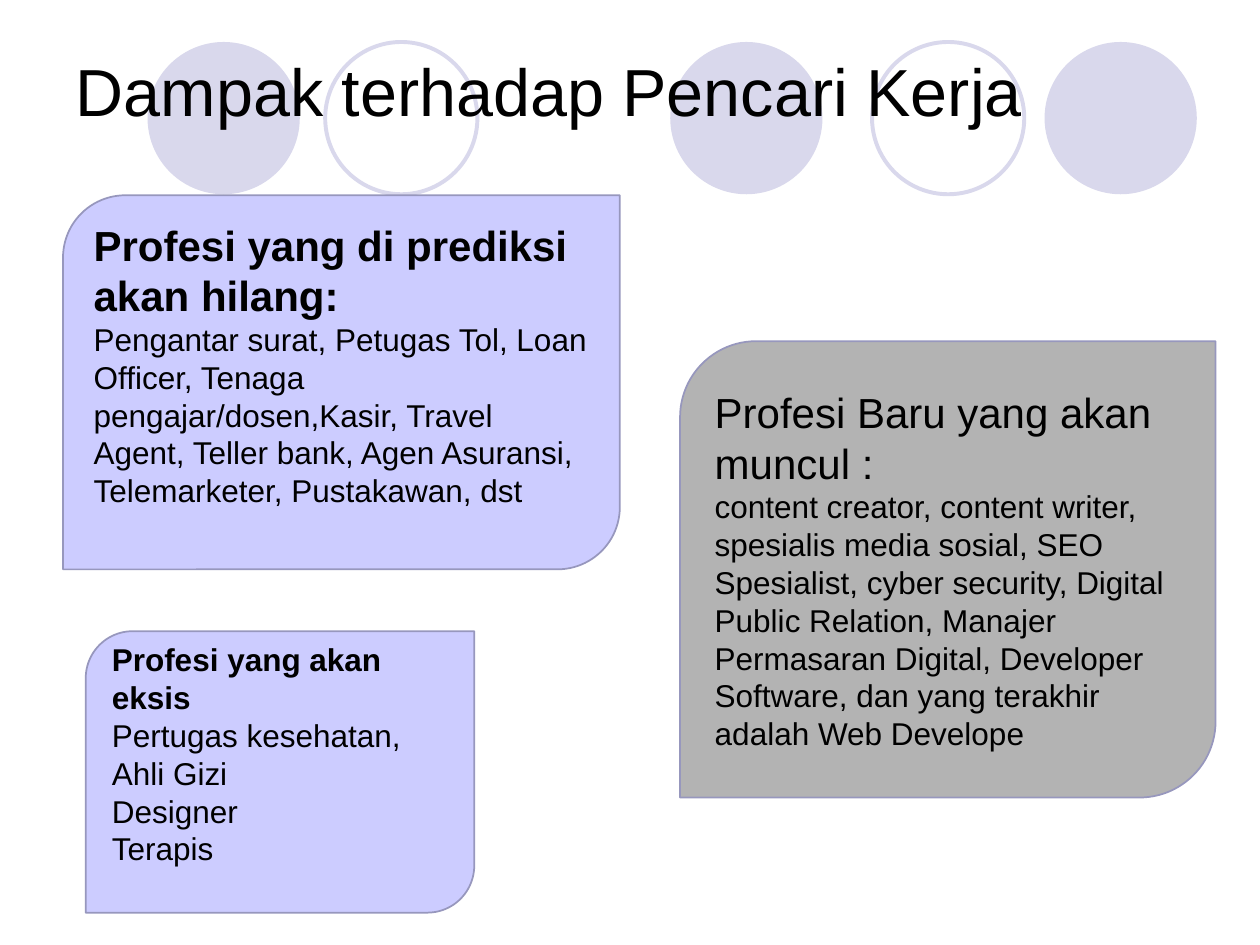
import pptx
import pptx.dml.color
import pptx.enum.shapes
import pptx.enum.text
import pptx.util

Pt = pptx.util.Pt
COLORS = {
    "circle": "D9D8EC",
    "lavender": "CCCCFF",
    "gray": "B3B3B3",
    "outline": "9797BD",
    "text": "000000",
}
FONT_NAME = "Arial"
TITLE = "Dampak terhadap Pencari Kerja"
TITLE_BOX = (36, 21.6, 648, 59.8)

CIRCLE_TOP, CIRCLE_SIZE = 24, 87
CIRCLES = [(84.3, True), (185.8, False), (383, True), (498.3, False), (596.9, True)]

# Each paragraph is (text, size, bold).
CARDS = [
    {
        "box": (49, 360.7, 222, 160.8),
        "fill": "lavender",
        "bottom_inset": 24.3,
        "paragraphs": [
            ("Profesi yang akan eksis", 18, True),
            ("Pertugas kesehatan, Ahli Gizi", 18, False),
            ("Designer", 18, False),
            ("Terapis", 18, False),
        ],
    },
    {
        "box": (388.6, 195, 306, 260.8),
        "fill": "gray",
        "bottom_inset": 3.6,
        "paragraphs": [
            ("Profesi Baru yang akan muncul :", 24, False),
            ("content creator, content writer, spesialis media sosial, SEO "
             "Spesialist, cyber security, Digital Public Relation, Manajer "
             "Permasaran Digital, Developer Software, dan yang terakhir "
             "adalah Web Develope", 18, False),
        ],
    },
    {
        "box": (36, 111.6, 318.2, 213.8),
        "fill": "lavender",
        "bottom_inset": 24.3,
        "paragraphs": [
            ("Profesi yang di prediksi akan hilang:", 24, True),
            ("Pengantar surat, Petugas Tol, Loan Officer, Tenaga "
             "pengajar/dosen,Kasir, Travel Agent, Teller bank, Agen Asuransi, "
             "Telemarketer, Pustakawan, dst", 18, False),
        ],
    },
]


def color(name):
    return pptx.dml.color.RGBColor.from_string(COLORS[name])


def set_attributes(target, values):
    for name, value in values.items():
        setattr(target, name, value)


def place(shape, box):
    set_attributes(shape, dict(zip(("left", "top", "width", "height"), map(Pt, box))))


def add_shape(slide, kind, box, fill, line, line_width):
    """Add a flat preset shape; a fill or line of None is left empty."""
    shape = slide.shapes.add_shape(kind, *map(Pt, box))
    shape.shadow.inherit = False
    for paint, name in ((shape.fill, fill), (shape.line.fill, line)):
        if name:
            paint.solid()
            paint.fore_color.rgb = color(name)
        else:
            paint.background()
    if line:
        shape.line.width = Pt(line_width)
    return shape


def write_paragraphs(shape, paragraphs, bottom_inset=3.6):
    frame = shape.text_frame
    set_attributes(frame, {
        "word_wrap": True,
        "auto_size": pptx.enum.text.MSO_AUTO_SIZE.NONE,
        "vertical_anchor": pptx.enum.text.MSO_ANCHOR.MIDDLE,
        "margin_bottom": Pt(bottom_inset),
    })
    for index, (text, size, bold) in enumerate(paragraphs):
        paragraph = frame.add_paragraph() if index else frame.paragraphs[0]
        paragraph.alignment = pptx.enum.text.PP_ALIGN.LEFT
        run = paragraph.add_run()
        run.text = text
        set_attributes(run.font, {"name": FONT_NAME, "size": Pt(size), "bold": bold})
        run.font.color.rgb = color("text")


def main():
    presentation = pptx.Presentation()
    set_attributes(presentation, {"slide_width": Pt(720), "slide_height": Pt(540)})
    slide = presentation.slides.add_slide(presentation.slide_layouts[5])
    shape_types = pptx.enum.shapes.MSO_SHAPE

    for left, filled in CIRCLES:
        box = (left, CIRCLE_TOP, CIRCLE_SIZE, CIRCLE_SIZE)
        add_shape(slide, shape_types.OVAL, box,
                  "circle" if filled else None, None if filled else "circle", 2.25)

    title = slide.shapes.title
    title.element.getparent().append(title.element)  # in front of the circles
    place(title, TITLE_BOX)
    write_paragraphs(title, [(TITLE, 38, False)])

    for card in CARDS:
        shape = add_shape(slide, shape_types.ROUND_2_DIAG_RECTANGLE, card["box"],
                          card["fill"], "outline", 1)
        write_paragraphs(shape, card["paragraphs"], card["bottom_inset"])

    presentation.save("out.pptx")


if __name__ == "__main__":
    main()
